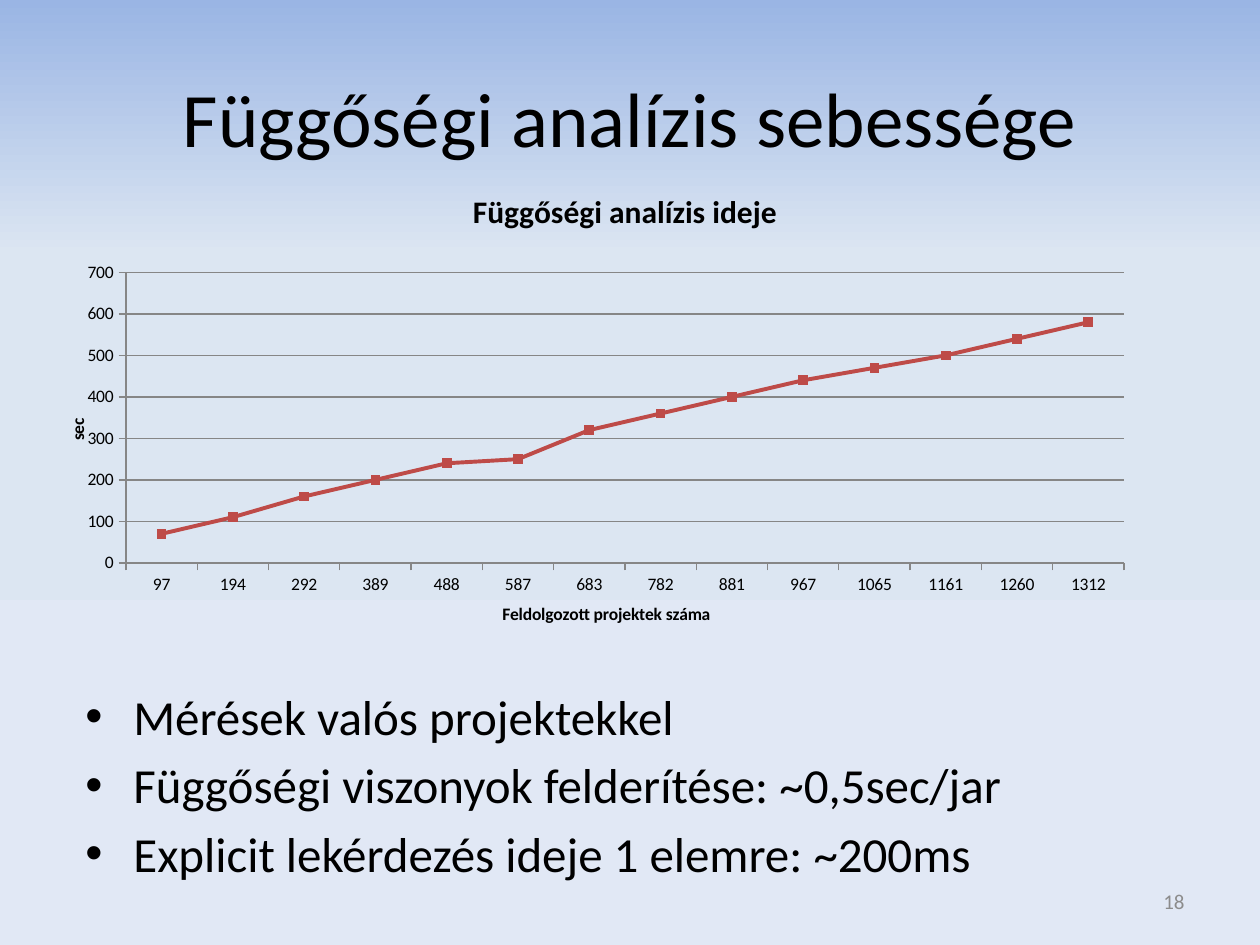
from copy import deepcopy

from lxml import etree
from pptx import Presentation
from pptx import util as u
from pptx.chart.data import CategoryChartData
from pptx.dml.color import RGBColor
from pptx.enum import chart as charts, text
from pptx.oxml import ns

SCALE = 914400 // 126
FONT = "Calibri"
COLORS = {"text": "000000", "number": "8C8C8C", "line": "BE4B48", "axis": "868686"}
BACKGROUND = [(0, "9AB5E4"), (0.27, "DCE6F2"), (1, "E1E8F5")]
BULLETS = [
    "Mérések valós projektekkel",
    "Függőségi viszonyok felderítése: ~0,5sec/jar",
    "Explicit lekérdezés ideje 1 elemre: ~200ms",
]
TIMES = {
    "97": 70, "194": 110, "292": 160, "389": 200, "488": 240, "587": 250, "683": 320,
    "782": 360, "881": 400, "967": 440, "1065": 470, "1161": 500, "1260": 540, "1312": 580,
}


def write(frame, lines, size, color="text", align=text.PP_ALIGN.LEFT, bold=False, bullet=False):
    """Write one paragraph per line into a text frame."""
    for index, line in enumerate(lines):
        para = frame.add_paragraph() if index else frame.paragraphs[0]
        para.alignment = align
        span = para.add_run()
        span.text = line
        span.font.name, span.font.size, span.font.bold = FONT, u.Pt(size), bold
        span.font.color.rgb = RGBColor.from_string(COLORS[color])
        if bullet:
            para.space_before = u.Pt(size * 0.2)
            props = para._p.get_or_add_pPr()
            props.set("marL", str(48 * SCALE))
            props.set("indent", str(-48 * SCALE))
            etree.SubElement(props, ns.qn("a:buFont"), typeface="Arial")
            etree.SubElement(props, ns.qn("a:buChar"), char="•")


def place(parent, index, **values):
    """Give a chart part a manual layout, in fractions of the chart."""
    old = parent.find(ns.qn("c:layout"))
    if old is not None:
        parent.remove(old)
    layout = etree.Element(ns.qn("c:layout"))
    manual = etree.SubElement(layout, ns.qn("c:manualLayout"))
    for name, value in values.items():
        etree.SubElement(manual, ns.qn("c:" + name), val=str(value))
    parent.insert(index, layout)


deck = Presentation()
deck.slide_width, deck.slide_height = 1260 * SCALE, 945 * SCALE
page = deck.slides.add_slide(deck.slide_layouts[5])

# Background
fill = page.background.fill
fill.gradient()
fill.gradient_angle = 270
stop_list = page.element.xpath(".//a:gsLst")[0]
stop_list.append(deepcopy(stop_list[-1]))
for stop, (position, color) in zip(fill.gradient_stops, BACKGROUND):
    stop.position = position
    stop.color.rgb = RGBColor.from_string(color)

# Title
title = page.shapes.title
title.left, title.top, title.width, title.height = [n * SCALE for n in (63, 38, 1134, 158)]
title.text_frame.vertical_anchor = text.MSO_ANCHOR.MIDDLE
write(title.text_frame, ["Függőségi analízis sebessége"], 44, align=text.PP_ALIGN.CENTER)

# Bullets and page number
box = page.shapes.add_textbox(*[n * SCALE for n in (73, 680, 1071, 262)])
box.text_frame.word_wrap = True
write(box.text_frame, BULLETS, 28, bullet=True)

number = page.shapes.add_textbox(*[n * SCALE for n in (903, 876, 294, 50)])
number.text_frame.word_wrap = True
number.text_frame.vertical_anchor = text.MSO_ANCHOR.MIDDLE
write(number.text_frame, ["18"], 12, color="number", align=text.PP_ALIGN.RIGHT)

# Chart
data = CategoryChartData()
data.categories = list(TIMES)
data.add_series("Függőségi analízis ideje", list(TIMES.values()))
chart = page.shapes.add_chart(
    charts.XL_CHART_TYPE.LINE_MARKERS, *[n * SCALE for n in (63, 168, 1124, 462)], data
).chart
chart.has_legend = False
chart.font.name, chart.font.size = FONT, u.Pt(10)
chart.font.color.rgb = RGBColor.from_string(COLORS["text"])
chart.has_title = True
write(chart.chart_title.text_frame, ["Függőségi analízis ideje"], 18,
      align=text.PP_ALIGN.CENTER, bold=True)
chart.chart_title.include_in_layout = False
place(chart._chartSpace.chart.plotArea, 0, layoutTarget="inner", xMode="edge", yMode="edge",
      x=0.056, y=0.227, w=0.888, h=0.631)

for axis, label, x, y in [
    (chart.category_axis, "Feldolgozott projektek száma", 0.388, 0.938),
    (chart.value_axis, "sec", 0, 0.537),
]:
    write(axis.axis_title.text_frame, [label], 10, align=text.PP_ALIGN.CENTER, bold=True)
    place(axis.axis_title._element, 1, xMode="edge", yMode="edge", x=x, y=y)
    axis.major_tick_mark = charts.XL_TICK_MARK.OUTSIDE
    axis.format.line.color.rgb = RGBColor.from_string(COLORS["axis"])
    axis.format.line.width = u.Pt(0.75)

values = chart.value_axis
values.minimum_scale, values.maximum_scale, values.major_unit = 0, 700, 100
values.has_major_gridlines = True
values.major_gridlines.format.line.color.rgb = RGBColor.from_string(COLORS["axis"])
values.major_gridlines.format.line.width = u.Pt(0.75)
rotation = values.axis_title.text_frame._txBody.bodyPr
rotation.set("rot", "-5400000")
rotation.set("vert", "horz")

plot = chart.plots[0]
plot.vary_by_categories = False
series = plot.series[0]
series.smooth = False
series.format.line.width = u.Pt(2.25)
series.marker.style = charts.XL_MARKER_STYLE.SQUARE
series.marker.size = 5
series.marker.format.fill.solid()
series.marker.format.fill.fore_color.rgb = RGBColor.from_string(COLORS["line"])
for line in (series.format.line, series.marker.format.line):
    line.color.rgb = RGBColor.from_string(COLORS["line"])

deck.save("out.pptx")
